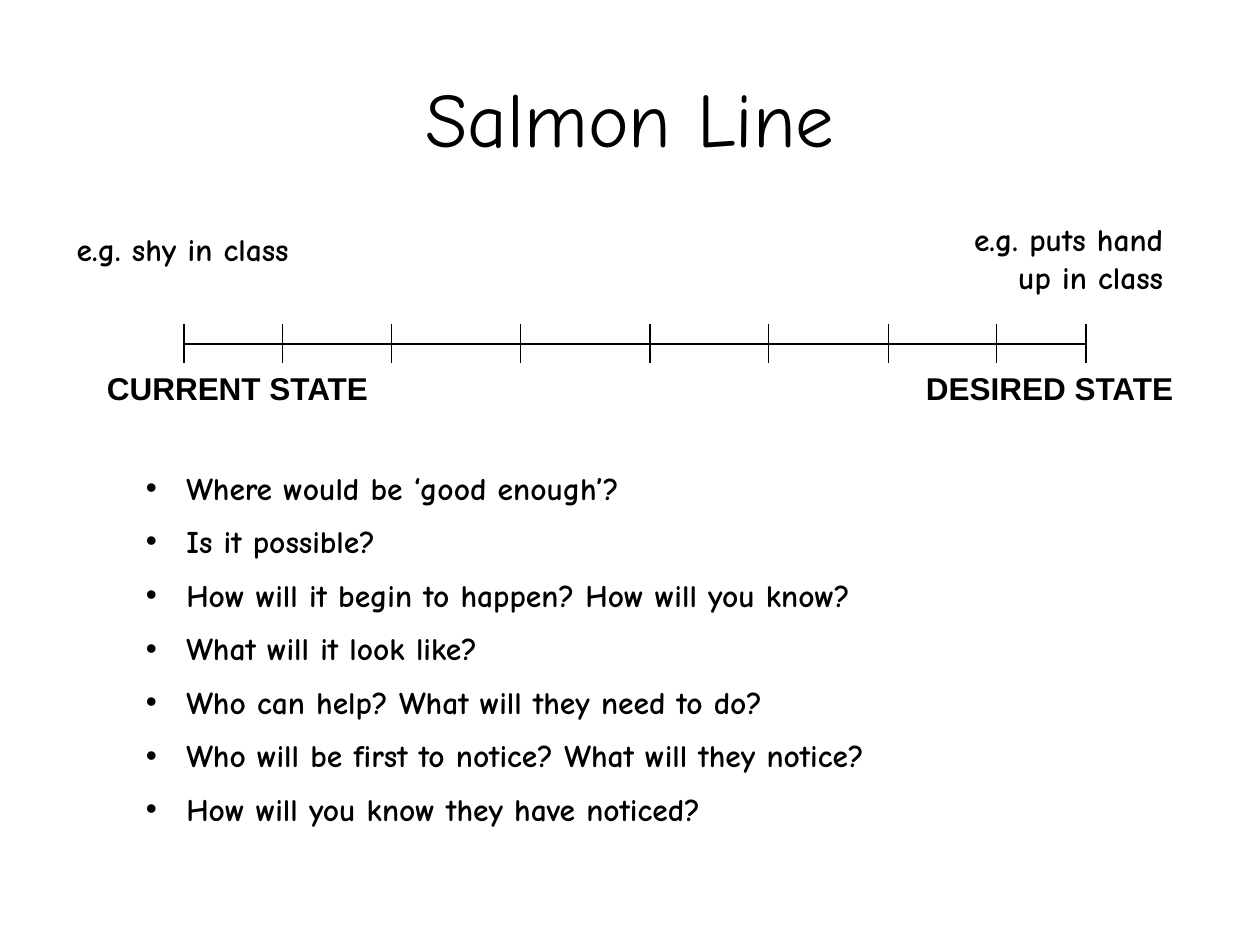
from pptx import Presentation
from pptx.dml.color import RGBColor
from pptx.enum.shapes import MSO_CONNECTOR as Link
from pptx.enum.text import MSO_ANCHOR as Anchor, PP_ALIGN as Align
from pptx.oxml.ns import qn
from pptx.util import Inches, Pt
from lxml.etree import SubElement

BLACK = RGBColor(0, 0, 0)
WIDE, HIGH = Inches(10), Inches(7.5)
COMIC, ARIAL = "Comic Neue", "Arial"
TITLE = dict(name=COMIC, size=Pt(44), bold=False)
BODY = dict(name=COMIC, size=Pt(18), bold=True)
STATE = dict(BODY, name=ARIAL)

TICKS = [14.6, 22.4, 31.1, 41.3, 51.6, 61, 70.5, 79.1, 86.2]
TOP, AXIS, BASE = 34.27, 36.4, 38.4
LABELS = [
    ("e.g. shy in class", (5.1, 23.73, 22.8, 5.33), Align.LEFT, BODY),
    ("e.g. puts hand up in class", (73.6, 22.67, 19.7, 9.33), Align.RIGHT, BODY),
    ("CURRENT STATE", (7.5, BASE, 26, 5.33), Align.LEFT, STATE),
    ("DESIRED STATE", (65.7, BASE, 28.4, 5.33), Align.RIGHT, STATE),
]
ASKS = [
    "Where would be ‘good enough’?",
    "Is it possible?",
    "How will it begin to happen? How will you know?",
    "What will it look like?",
    "Who can help? What will they need to do?",
    "Who will be first to notice? What will they notice?",
    "How will you know they have noticed?",
]


def across(share):
    return int(WIDE * share / 100)


def down(share):
    return int(HIGH * share / 100)


def style(para, look, align):
    para.alignment = align
    for key, value in look.items():
        setattr(para.font, key, value)
    para.font.color.rgb = BLACK


def add_title(slide, text):
    title = slide.shapes.title
    spot = dict(left=across(5), top=down(4), width=across(90), height=down(16.67))
    for key, value in spot.items():
        setattr(title, key, value)
    title.text_frame.text = text
    title.text_frame.vertical_anchor = Anchor.MIDDLE
    style(title.text_frame.paragraphs[0], TITLE, Align.CENTER)


def add_line(slide, x1, y1, x2, y2):
    line = slide.shapes.add_connector(
        Link.STRAIGHT, across(x1), down(y1), across(x2), down(y2))
    line.line.color.rgb = BLACK
    line.line.width = Pt(0.75)
    SubElement(line._element.spPr, qn("a:effectLst"))


def add_scale(slide):
    add_line(slide, TICKS[0], AXIS, TICKS[-1], AXIS)
    for x in TICKS:
        add_line(slide, x, TOP, x, BASE)


def add_box(slide, spot):
    x, y, w, h = spot
    box = slide.shapes.add_textbox(across(x), down(y), across(w), down(h))
    box.text_frame.word_wrap = True
    return box.text_frame


def add_label(slide, text, spot, align, look):
    frame = add_box(slide, spot)
    frame.text = text
    style(frame.paragraphs[0], look, align)


def add_bullet(para):
    props = para._p.get_or_add_pPr()
    props.set("marL", str(Inches(0.32)))
    props.set("indent", str(-Inches(0.32)))
    SubElement(props, qn("a:buFont")).set("typeface", ARIAL)
    SubElement(props, qn("a:buChar")).set("char", "•")


def add_list(slide, items, spot):
    frame = add_box(slide, spot)
    frame.text = "\n".join(items)
    for i, para in enumerate(frame.paragraphs):
        add_bullet(para)
        style(para, BODY, Align.LEFT)
        if i:
            para.space_before = Pt(9)


def main():
    deck = Presentation()
    deck.slide_width, deck.slide_height = WIDE, HIGH
    slide = deck.slides.add_slide(deck.slide_layouts[5])
    add_title(slide, "Salmon Line")
    add_scale(slide)
    for label in LABELS:
        add_label(slide, *label)
    add_list(slide, ASKS, (10.6, 48.93, 78.8, 41.47))
    deck.save("out.pptx")


if __name__ == "__main__":
    main()
